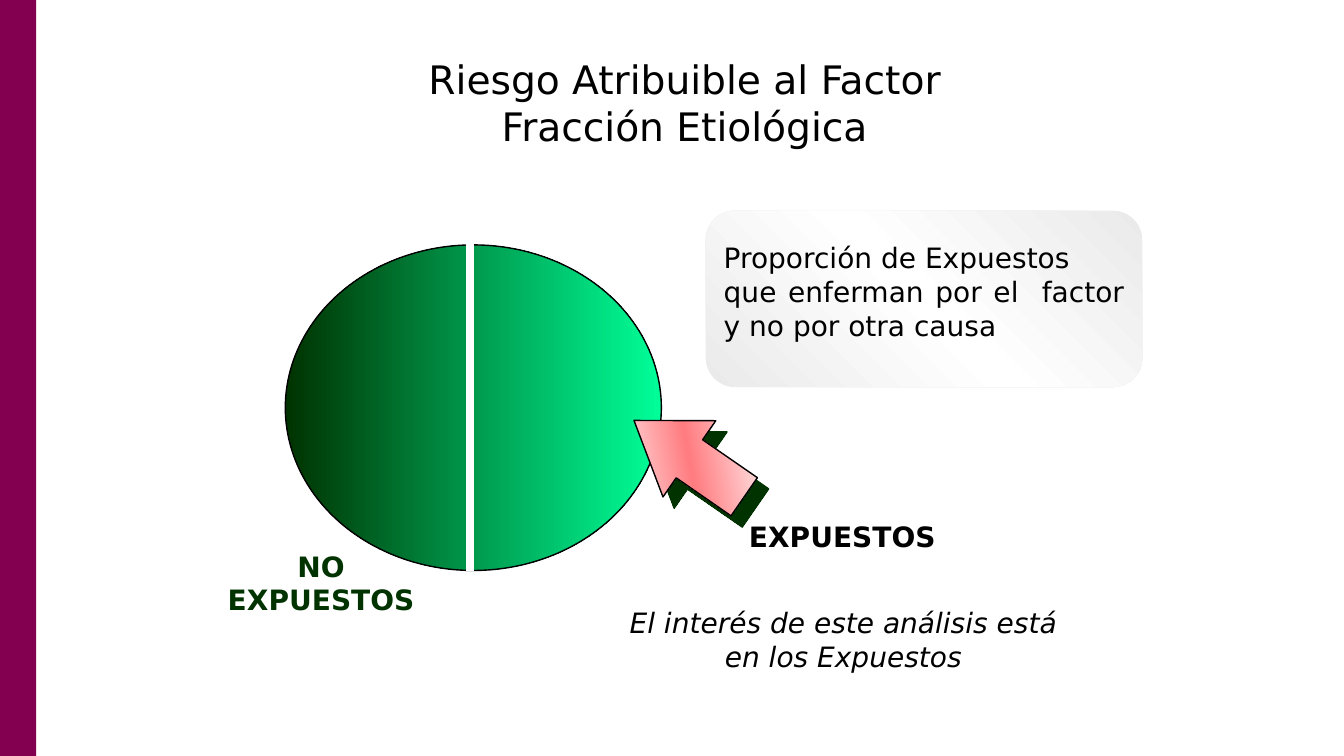
from lxml import etree
from pptx import Presentation
from pptx.dml.color import RGBColor
from pptx.enum.shapes import MSO_CONNECTOR, MSO_SHAPE
from pptx.enum.text import MSO_ANCHOR, MSO_AUTO_SIZE, PP_ALIGN
from pptx.oxml.ns import qn
from pptx.util import Pt

PX = 9144  # 100 px to the inch
FONT = "DejaVu Sans"
TITLE_ONLY = 5
LEFT, CENTER, JUSTIFY = PP_ALIGN.LEFT, PP_ALIGN.CENTER, PP_ALIGN.JUSTIFY


def color(value):
    return RGBColor.from_string(value)


def write(shape, lines, size, align, ink="000000", bold=False, italic=False):
    frame = shape.text_frame
    frame.word_wrap = True
    frame.auto_size = MSO_AUTO_SIZE.NONE
    frame.vertical_anchor = MSO_ANCHOR.TOP
    frame.text = "\n".join(lines)
    for paragraph in frame.paragraphs:
        paragraph.alignment = align
        font = paragraph.font
        font.name, font.size = FONT, Pt(size)
        font.bold, font.italic = bold, italic
        font.color.rgb = color(ink)


presentation = Presentation()
presentation.slide_width = 1333 * PX
presentation.slide_height = 750 * PX
slide = presentation.slides.add_slide(presentation.slide_layouts[TITLE_ONLY])
shapes = slide.shapes

# Title
title = shapes.title
title.left, title.top, title.width, title.height = 258 * PX, 50 * PX, 842 * PX, 103 * PX
write(title, ["Riesgo Atribuible al Factor", "Fracción Etiológica"], 28, CENTER)

# Side band
band = shapes.add_shape(MSO_SHAPE.RECTANGLE, 0, 0, 36 * PX, 750 * PX)
band.shadow.inherit = False
band.fill.solid()
band.fill.fore_color.rgb = color("830051")
band.line.fill.background()

# Gradient shapes: definition panel, population circle, arrow to the exposed half
panel = shapes.add_shape(MSO_SHAPE.ROUNDED_RECTANGLE, 700 * PX, 209 * PX, 433 * PX, 175 * PX)
circle = shapes.add_shape(MSO_SHAPE.OVAL, 283 * PX, 243 * PX, 373 * PX, 323 * PX)

divider = shapes.add_connector(MSO_CONNECTOR.STRAIGHT, 466 * PX, 242 * PX, 466 * PX, 566 * PX)
divider.line.color.rgb = color("FFFFFF")
divider.line.width = Pt(6)
etree.SubElement(divider._element.spPr, qn("a:effectLst"))

arrow = shapes.add_shape(MSO_SHAPE.LEFT_ARROW, 617 * PX, 409 * PX, 133 * PX, 92 * PX)
arrow.rotation = 34.7
arrow.adjustments[1] = 0.727

for shape, angle, stops, outlined in [
    (panel, 45, ["EAEAEA", "FFFFFF", "EAEAEA"], False),
    (circle, 0, ["003300", "00FF99"], True),
    (arrow, 45, ["FFFFFF", "FF7C80", "FFFFFF"], True),
]:
    shape.shadow.inherit = False
    shape.fill.gradient()
    shape.fill.gradient_angle = angle
    stop_list = shape._element.spPr.find(".//" + qn("a:gsLst"))
    stop_list.clear()
    for index, value in enumerate(stops):
        position = 100000 * index // (len(stops) - 1)
        stop = etree.SubElement(stop_list, qn("a:gs"), pos=str(position))
        etree.SubElement(stop, qn("a:srgbClr"), val=value)
    if outlined:
        shape.line.color.rgb = color("000000")
        shape.line.width = Pt(1)
    else:
        shape.line.fill.background()

# Hard green shadow under the arrow
effects = arrow._element.spPr.find(qn("a:effectLst"))
shadow = etree.SubElement(effects, qn("a:outerShdw"), dist=str(Pt(11.3)),
                          dir=str(45 * 60000), algn="ctr", rotWithShape="0")
etree.SubElement(shadow, qn("a:srgbClr"), val="003300")

# Texts
for left, top, width, height, lines, align, style in [
    (708, 234, 417, 111,
     ["Proporción de Expuestos", "que enferman por el  factor y no por otra causa"], JUSTIFY, {}),
    (206, 540, 225, 77, ["NO EXPUESTOS"], CENTER, {"ink": "003300", "bold": True}),
    (733, 510, 233, 44, ["EXPUESTOS"], LEFT, {"bold": True}),
    (598, 596, 477, 77,
     ["El interés de este análisis está en los Expuestos"], CENTER, {"italic": True}),
]:
    box = shapes.add_textbox(left * PX, top * PX, width * PX, height * PX)
    write(box, lines, 20, align, **style)

presentation.save("out.pptx")
